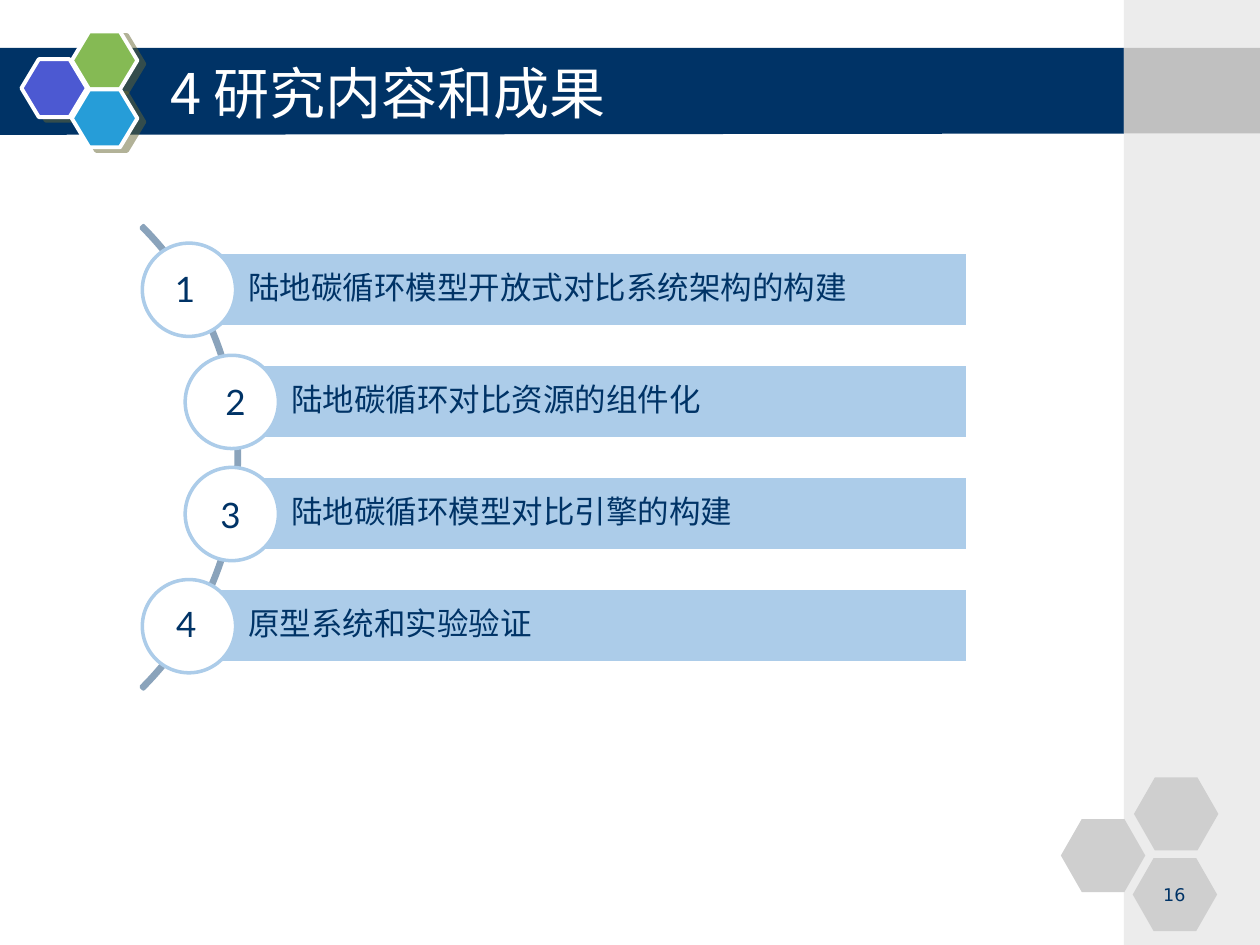
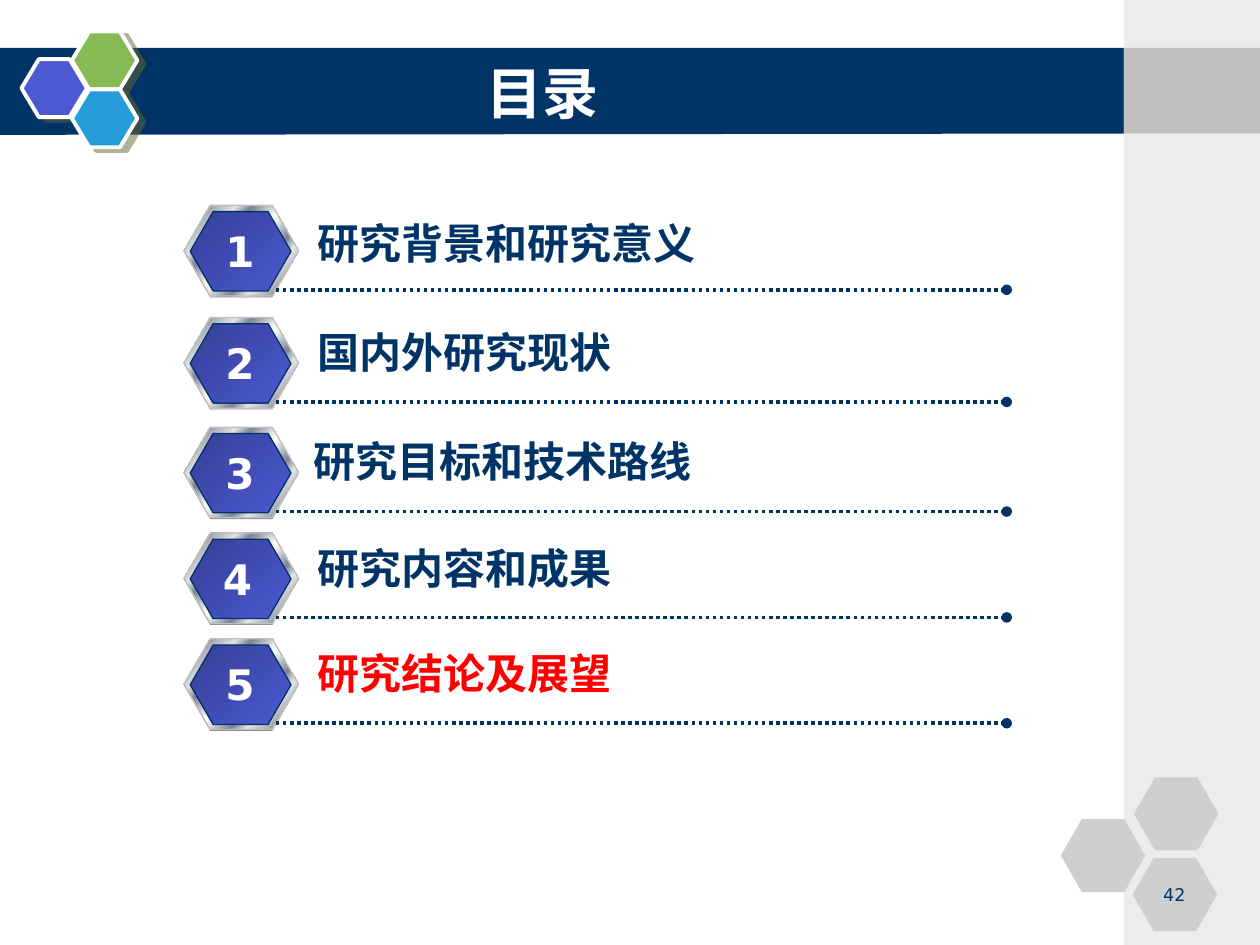
from lxml import etree
from pptx import Presentation
from pptx.dml.color import RGBColor
from pptx.enum.dml import MSO_LINE
from pptx.enum.shapes import MSO_CONNECTOR, MSO_SHAPE
from pptx.enum.text import MSO_ANCHOR, MSO_AUTO_SIZE, PP_ALIGN
from pptx.oxml.ns import qn
from pptx.util import Inches, Pt

RECT, HEX, OVAL = MSO_SHAPE.RECTANGLE, MSO_SHAPE.HEXAGON, MSO_SHAPE.OVAL
ARC = MSO_SHAPE.BLOCK_ARC
TOP, MID = MSO_ANCHOR.TOP, MSO_ANCHOR.MIDDLE
LEFT, CENTER = PP_ALIGN.LEFT, PP_ALIGN.CENTER

# Content
TOPICS = [  # text, column, nudge of the digit inside its disc
    ("陆地碳循环模型开放式对比系统架构的构建", 0, (0.16, 0.14)),
    ("陆地碳循环对比资源的组件化", 1, (0.22, 0.15)),
    ("陆地碳循环模型对比引擎的构建", 1, (0.18, 0.16)),
    ("原型系统和实验验证", 0, (0.17, 0.13)),
]
PARTS = [  # text, top of badge, place of text, left of digit, colour
    ("研究背景和研究意义", 1.63, (2.42, 1.68), 1.69, "003366"),
    ("国内外研究现状", 2.52, (2.42, 2.54), 1.69, "003366"),
    ("研究目标和技术路线", 3.39, (2.39, 3.41), 1.69, "003366"),
    ("研究内容和成果", 4.23, (2.42, 4.26), 1.67, "003366"),
    ("研究结论及展望", 5.07, (2.42, 5.09), 1.69, "FF0000"),
]

# Look
WIDE, HIGH = 10, 7.5
NAVY, WHITE, GREY, PALE = "003366", "FFFFFF", "CFCFCF", "ACCCE9"
CJK, SANS, LATO, SERIF = "Noto Sans CJK SC", "DejaVu Sans", "Lato", "Times New Roman"
SIDE = 8.92  # left edge of the side strip
BAND = [(-0.03, 0.38), (8.94, 0.38), (8.93, 1.06), (-0.03, 1.07)]
LOGO = [(0.17, 0.47, "4C59D2"), (0.57, 0.25, "85BA54"), (0.57, 0.71, "269DD8")]
COMB = [(8.42, 6.5), (9, 6.17), (8.99, 6.81)]
STEEL = [(0, "E6E6E6"), (8, "7D8496"), (26, "E6E6E6"), (34, "7D8496"),
         (46, "E6E6E6"), (50, "FFFFFF"), (54, "E6E6E6"), (66, "7D8496"),
         (74, "E6E6E6"), (92, "7D8496"), (100, "E6E6E6")]
BLUE = [(0, "364096"), (100, "4C59D2")]


def rgb(code):
    return RGBColor.from_string(code)


def sub(node, tag, **attrs):
    return etree.SubElement(node, qn("a:" + tag), attrs)


def blend(shape, stops):
    """Fill with a diagonal gradient of (percent, colour) stops."""
    shape.fill.gradient()
    shape.fill.gradient_angle = 315
    row = shape._element.spPr.find(".//" + qn("a:gsLst"))
    for old in list(row):
        row.remove(old)
    for spot, code in stops:
        sub(sub(row, "gs", pos=str(spot * 1000)), "srgbClr", val=code)


def paint(shape, fill=None, line=None):
    shape.shadow.inherit = False
    if fill is None:
        shape.fill.background()
    elif isinstance(fill, list):
        blend(shape, fill)
    else:
        shape.fill.solid()
        shape.fill.fore_color.rgb = rgb(fill)
    if line:
        shape.line.color.rgb = rgb(line[0])
        shape.line.width = Pt(line[1])
    else:
        shape.line.fill.background()
    return shape


def draw(slide, kind, box, fill=None, line=None, adj=()):
    shape = slide.shapes.add_shape(kind, *map(Inches, box))
    for i, val in enumerate(adj):
        shape.adjustments[i] = val
    return paint(shape, fill, line)


def write(shape, text, size, face, color=NAVY, bold=False, align=LEFT,
          anchor=TOP, inset=0.1, gap=1.0):
    frame = shape.text_frame
    look = {"word_wrap": True, "auto_size": MSO_AUTO_SIZE.NONE,
            "vertical_anchor": anchor, "margin_left": Inches(inset)}
    for key, val in look.items():
        setattr(frame, key, val)
    para = frame.paragraphs[0]
    para.alignment, para.line_spacing = align, gap
    run = para.add_run()
    run.text = text
    run.font.color.rgb = rgb(color)
    for key, val in {"size": Pt(size), "bold": bold, "name": face}.items():
        setattr(run.font, key, val)
    sub(run._r.get_or_add_rPr(), "ea", typeface=CJK)


def label(slide, box, *args, **opts):
    write(slide.shapes.add_textbox(*map(Inches, box)), *args, **opts)


def cast(shape):
    """Give a shape a hard olive shadow."""
    fx = shape._element.spPr.find(qn("a:effectLst"))
    drop = sub(fx, "outerShdw", blurRad="0", dist=str(Pt(4.5)),
               dir=str(27 * 60000), algn="ctr", rotWithShape="0")
    sub(sub(drop, "srgbClr", val="666633"), "alpha", val="50000")


def frame(slide):
    """Draw the shared band, logo and side strip, then move them to the layout."""
    first = len(slide.shapes)
    pts = [tuple(map(Inches, p)) for p in BAND]
    path = slide.shapes.build_freeform(*pts[0], scale=1.0)
    path.add_line_segments(pts[1:], close=True)
    paint(path.convert_to_shape(), NAVY)
    for x, y, code in LOGO:
        cast(draw(slide, HEX, (x, y, 0.52, 0.46), code, (WHITE, 2.25), [0.3]))
    draw(slide, RECT, (SIDE, 0, WIDE - SIDE, HIGH), "ECECEC")
    draw(slide, RECT, (SIDE, 0.38, WIDE - SIDE, 0.68), "C0C0C0")
    for x, y in COMB:
        draw(slide, HEX, (x, y, 0.67, 0.58), GREY, adj=[0.286])
    tree = slide.slide_layout.shapes._spTree
    for shape in list(slide.shapes)[first:]:
        tree.append(shape._element)


def head(slide, text, width, **opts):
    title = slide.shapes.title
    spots = dict(zip(("left", "top", "width", "height"),
                     map(Inches, (1.25, 0.42, width, 0.62))))
    for key, val in spots.items():
        setattr(title, key, val)
    write(title, text, 32, color=WHITE, anchor=MID, **opts)


def page(slide, num):
    write(draw(slide, RECT, (9.07, 6.97, 0.5, 0.25), GREY), num, 10, SANS,
          align=CENTER)


def topics(slide):
    """Bars with numbered discs strung along an arc."""
    draw(slide, ARC, (-3.3, 1.03, 5.2, 5.2), line=("8AA3BB", 2),
         adj=[189, 27, 0.005])
    step, disc, end = 0.89, 0.74, 7.68
    for i, (text, col, _) in enumerate(TOPICS):
        x, y = 1.5 + 0.34 * col, 2 + step * i
        bar = draw(slide, RECT, (x, y, end - x, 0.59), PALE, (WHITE, 2))
        write(bar, text, 18, SANS, anchor=MID, inset=0.47, gap=0.9)
        draw(slide, OVAL, (x - disc / 2, y - 0.07, disc, disc), WHITE, (PALE, 2))
    for i, (_, col, (dx, dy)) in enumerate(TOPICS):
        x, y = 1.13 + 0.34 * col + dx, 1.93 + step * i + dy
        label(slide, (x, y, 0.47, 0.44), str(i + 1), 20, LATO)


def rule(slide, y):
    """Dotted line with a round end."""
    line = slide.shapes.add_connector(
        MSO_CONNECTOR.STRAIGHT, *map(Inches, (2.19, y, 7.99, y)))
    line.line.color.rgb = rgb(NAVY)
    line.line.width = Pt(2)
    line.line.dash_style = MSO_LINE.ROUND_DOT
    sub(line.line._get_or_add_ln(), "tailEnd", type="oval")
    sub(line._element.spPr, "effectLst")


def agenda(slide):
    """Metal badges with part names above dotted rules."""
    x = 1.46
    for i, (text, y, (tx, ty), dx, code) in enumerate(PARTS):
        draw(slide, HEX, (x, y + 0.01, 0.91, 0.72), "808080", adj=[0.289])
        draw(slide, HEX, (x, y, 0.91, 0.72), STEEL, ("C0C0C0", 0.75), [0.289])
        draw(slide, HEX, (x + 0.05, y + 0.05, 0.8, 0.63), BLUE, (NAVY, 0.75),
             [0.289])
        rule(slide, y + 0.67)
        label(slide, (tx, ty, 5.23, 0.51), text, 24, CJK, code, True)
        label(slide, (dx, y + 0.11, 0.44, 0.51), str(i + 1), 24, SANS, WHITE, True)


def main():
    deck = Presentation()
    deck.slide_width, deck.slide_height = Inches(WIDE), Inches(HIGH)
    plain = deck.slide_layouts[5]  # title only

    one = deck.slides.add_slide(plain)
    frame(one)
    head(one, "4 研究内容和成果", 7.42, face=CJK)
    page(one, "16")
    topics(one)

    two = deck.slides.add_slide(plain)
    head(two, "目录", 6.11, face=SERIF, bold=True, align=CENTER)
    agenda(two)
    page(two, "42")

    deck.save("out.pptx")


if __name__ == "__main__":
    main()
